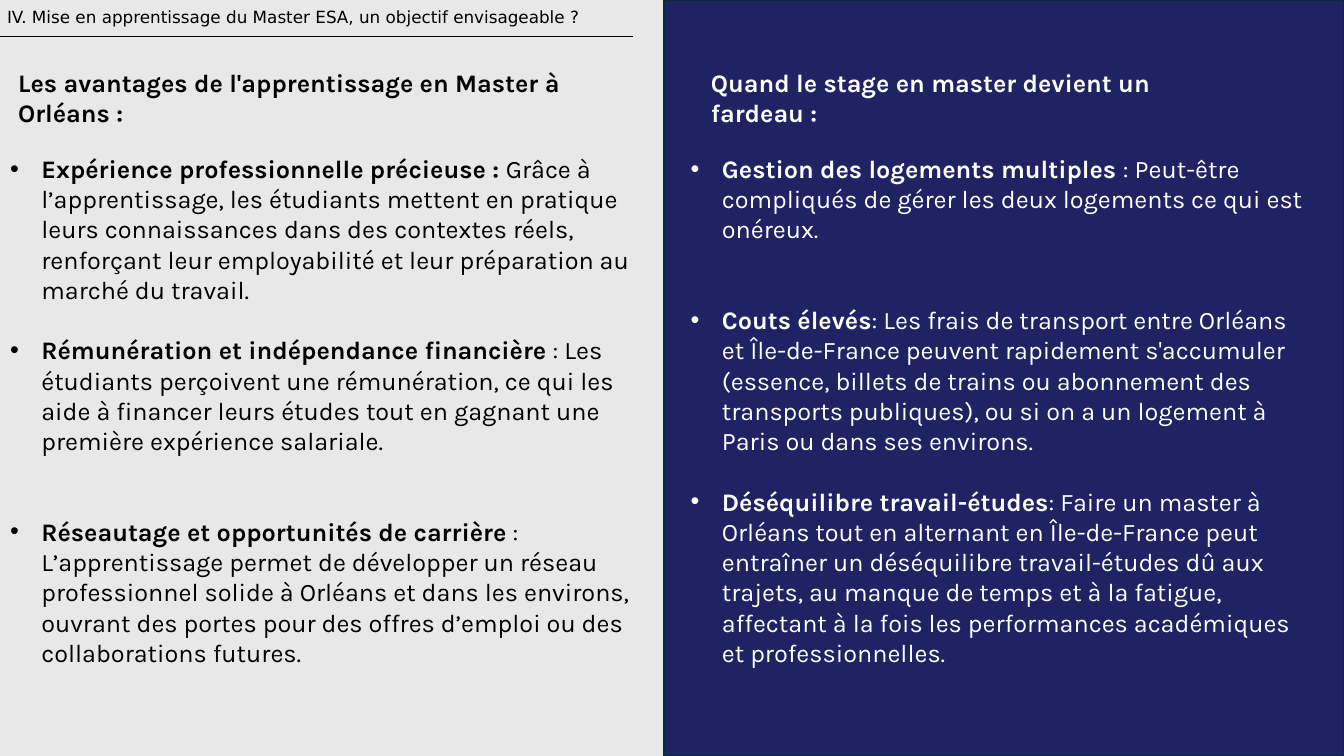
from lxml.etree import SubElement
from pptx import Presentation
from pptx.dml.color import RGBColor
from pptx.enum.shapes import MSO_CONNECTOR, MSO_SHAPE
from pptx.enum.text import MSO_ANCHOR, MSO_AUTO_SIZE, PP_ALIGN
from pptx.oxml.ns import qn
from pptx.util import Inches, Pt

COLORS = {"page": "E8E8E8", "panel": "1F2363", "edge": "092A39",
          "dark": "000000", "light": "FFFFFF"}
WIDTH, HEIGHT = 13.33, 7.5
SPLIT = 6.59        # where the dark half begins
HEADING_TOP, LIST_TOP = 0.62, 1.47
LINE_PITCH = 21.6   # points, one line of 18 pt text
INDENT = 0.31

ADVANTAGES = [  # lead, text, empty lines above
    ("Expérience professionnelle précieuse : ",
     "Grâce à l’apprentissage, les étudiants mettent en pratique leurs connaissances "
     "dans des contextes réels, renforçant leur employabilité et leur préparation au "
     "marché du travail.", 0),
    ("Rémunération et indépendance financière",
     " : Les étudiants perçoivent une rémunération, ce qui les aide à financer leurs "
     "études tout en gagnant une première expérience salariale.", 1),
    ("Réseautage et opportunités de carrière",
     " : L’apprentissage permet de développer un réseau professionnel solide à Orléans "
     "et dans les environs, ouvrant des portes pour des offres d’emploi ou des "
     "collaborations futures.", 2),
]
BURDENS = [
    ("Gestion des logements multiples ",
     ": Peut-être compliqués de gérer les deux logements ce qui est onéreux.", 0),
    ("Couts élevés",
     ": Les frais de transport entre Orléans et Île-de-France peuvent rapidement "
     "s'accumuler (essence, billets de trains ou abonnement des transports publiques), "
     "ou si on a un logement à Paris ou dans ses environs.", 2),
    ("Déséquilibre travail-études",
     ": Faire un master à Orléans tout en alternant en Île-de-France peut entraîner un "
     "déséquilibre travail-études dû aux trajets, au manque de temps et à la fatigue, "
     "affectant à la fois les performances académiques et professionnelles.", 1),
]


def rgb(name):
    return RGBColor.from_string(COLORS[name])


def apply(target, **values):
    for key, value in values.items():
        setattr(target, key, value)


def place(holder, left, top, width, height):
    """Move a placeholder and give it plain text-box behaviour."""
    apply(holder, left=Inches(left), top=Inches(top),
          width=Inches(width), height=Inches(height))
    apply(holder.text_frame, word_wrap=True, auto_size=MSO_AUTO_SIZE.NONE,
          vertical_anchor=MSO_ANCHOR.TOP)
    return holder.text_frame


def write(paragraph, text, color, size=18, bold=False, font="Karla"):
    run = paragraph.add_run()
    run.text = text
    apply(run.font, size=Pt(size), bold=bold, name=font)
    run.font.color.rgb = rgb(color)


def align(paragraph, space=0):
    apply(paragraph, alignment=PP_ALIGN.LEFT, line_spacing=1.0,
          space_before=Pt(space), space_after=Pt(0))


def add_bullet(paragraph):
    props = paragraph._p.get_or_add_pPr()
    props.set("marL", str(Inches(INDENT)))
    props.set("indent", str(-Inches(INDENT)))
    SubElement(props, qn("a:buFont")).set("typeface", "Arial")
    SubElement(props, qn("a:buChar")).set("char", "•")


def add_panel(slide, left, width):
    panel = slide.shapes.add_shape(MSO_SHAPE.RECTANGLE, Inches(left), 0,
                                   Inches(width), Inches(HEIGHT))
    panel.shadow.inherit = False
    panel.fill.solid()
    panel.fill.fore_color.rgb = rgb("panel")
    panel.line.color.rgb = rgb("edge")
    panel.line.width = Pt(1.5)
    slide.shapes._spTree.insert(2, panel._element)  # behind the text


def add_header(slide, left, width):
    rule = slide.shapes.add_connector(MSO_CONNECTOR.STRAIGHT, Inches(left), Inches(0.36),
                                      Inches(left + width), Inches(0.36))
    rule.line.color.rgb = rgb("dark")
    rule.line.width = Pt(1)
    SubElement(rule._element.spPr, qn("a:effectLst"))
    title = place(slide.shapes.title, left, 0.02, width, 0.34).paragraphs[0]
    align(title)
    write(title, "IV. Mise en apprentissage du Master ESA, un objectif envisageable ?",
          "dark", size=12, font="DejaVu Sans")


def fill_column(heading_holder, list_holder, heading, points, color, heading_box, list_box):
    """Heading and bulleted list; each box is (left, width)."""
    left, width = heading_box
    heading_line = place(heading_holder, left, HEADING_TOP, width, 0.75).paragraphs[0]
    align(heading_line)
    write(heading_line, heading, color, bold=True)

    left, width = list_box
    frame = place(list_holder, left, LIST_TOP, width, HEIGHT - LIST_TOP)
    for number, (lead, text, gap) in enumerate(points):
        point = frame.add_paragraph() if number else frame.paragraphs[0]
        align(point, gap * LINE_PITCH)
        add_bullet(point)
        write(point, lead, color, bold=True)
        write(point, text, color)


def main():
    deck = Presentation()
    apply(deck, slide_width=Inches(WIDTH), slide_height=Inches(HEIGHT))
    slide = deck.slides.add_slide(deck.slide_layouts.get_by_name("Comparison"))
    slide.background.fill.solid()
    slide.background.fill.fore_color.rgb = rgb("page")

    holders = slide.placeholders
    add_panel(slide, SPLIT, WIDTH - SPLIT)
    add_header(slide, -0.03, 6.31)
    fill_column(holders[1], holders[2],
                "Les avantages de l'apprentissage en Master à Orléans :",
                ADVANTAGES, "dark", (0.08, 6.0), (0, SPLIT))
    fill_column(holders[3], holders[4],
                "Quand le stage en master devient un fardeau :",
                BURDENS, "light", (6.95, 5.3), (6.75, 6.35))
    deck.save("out.pptx")


if __name__ == "__main__":
    main()
